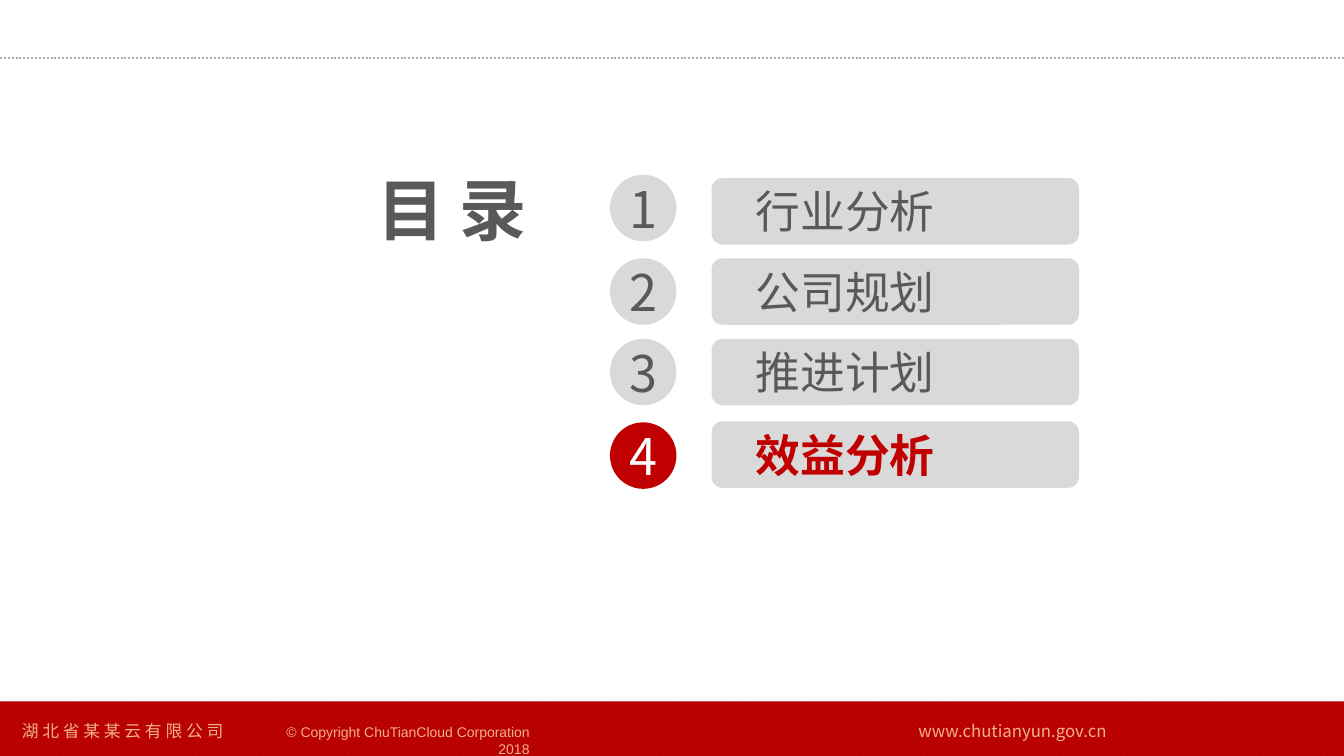
from dataclasses import dataclass

from lxml.etree import SubElement
from pptx import Presentation
from pptx.dml.color import RGBColor
from pptx.enum.dml import MSO_LINE, MSO_PATTERN
from pptx.enum.shapes import MSO_CONNECTOR, MSO_SHAPE
from pptx.enum.text import MSO_ANCHOR, PP_ALIGN
from pptx.oxml.ns import qn
from pptx.util import Pt


@dataclass(frozen=True)
class Theme:
    red: RGBColor = RGBColor.from_string("C00000")
    footer_red: RGBColor = RGBColor.from_string("B80000")
    stripe: RGBColor = RGBColor.from_string("BD1515")
    peach: RGBColor = RGBColor.from_string("F4B183")
    dark: RGBColor = RGBColor.from_string("595959")
    light: RGBColor = RGBColor.from_string("D9D9D9")
    rule: RGBColor = RGBColor.from_string("AFABAB")
    white: RGBColor = RGBColor.from_string("FFFFFF")
    cjk: str = "Noto Sans CJK SC"
    latin: str = "Arial"
    title: int = 48
    number: int = 36
    label: int = 32
    footer: int = 12
    copyright: int = 10


theme = Theme()


def write(box, text, color, size, name=theme.cjk, bold=False,
          align=PP_ALIGN.CENTER, anchor=MSO_ANCHOR.TOP, wrap=True):
    """Fill the box with one formatted run, also naming its East Asian font."""
    frame = box.text_frame
    frame_format = {
        "word_wrap": wrap, "vertical_anchor": anchor,
        "margin_left": Pt(7.2), "margin_right": Pt(7.2),
        "margin_top": Pt(3.6), "margin_bottom": Pt(3.6),
    }
    for key, value in frame_format.items():
        setattr(frame, key, value)
    para = frame.paragraphs[0]
    para.alignment = align
    span = para.add_run()
    span.text = text
    for key, value in {"name": name, "size": Pt(size), "bold": bold}.items():
        setattr(span.font, key, value)
    span.font.color.rgb = color
    SubElement(span.font._element, qn("a:ea"), typeface=name)


def add_block(kind, left, top, width, height, color):
    block = page.shapes.add_shape(kind, Pt(left), Pt(top), Pt(width), Pt(height))
    block.shadow.inherit = False
    block.line.fill.background()
    block.fill.solid()
    block.fill.fore_color.rgb = color
    return block


deck = Presentation()
deck.slide_width, deck.slide_height = Pt(960), Pt(540)
page = deck.slides.add_slide(deck.slide_layouts[5])

# Header rule
rule = page.shapes.add_connector(MSO_CONNECTOR.STRAIGHT, Pt(0), Pt(41.5), Pt(960), Pt(41.5))
rule.line.color.rgb = theme.rule
rule.line.width = Pt(1.4)
rule.line.dash_style = MSO_LINE.ROUND_DOT
SubElement(rule._element.spPr, qn("a:effectLst"))

# Footer
band = add_block(MSO_SHAPE.RECTANGLE, 0, 501, 960, 43, theme.footer_red)
band.fill.patterned()
band.fill.pattern = MSO_PATTERN.WIDE_UPWARD_DIAGONAL
band.fill.fore_color.rgb = theme.stripe
band.fill.back_color.rgb = theme.footer_red

footer_texts = [
    ("湖 北 省 某 某 云 有 限 公 司", 8.5, 511, 160, theme.footer, theme.cjk, PP_ALIGN.LEFT, False),
    ("www.chutianyun.gov.cn", 649, 511, 150, theme.footer, theme.cjk, PP_ALIGN.LEFT, False),
    ("© Copyright ChuTianCloud Corporation 2018", 176, 513.3, 209.3,
     theme.copyright, theme.latin, PP_ALIGN.RIGHT, True),
]
for text, left, top, width, size, name, align, wrap in footer_texts:
    box = page.shapes.add_textbox(Pt(left), Pt(top), Pt(width), Pt(22))
    write(box, text, theme.peach, size, name=name, align=align, wrap=wrap)

# Title
title = page.shapes.title
title_place = {"left": Pt(249), "top": Pt(116.5), "width": Pt(147.5), "height": Pt(65.5)}
for key, value in title_place.items():
    setattr(title, key, value)
write(title, "目 录", theme.dark, theme.title, bold=True)

# Agenda: label, top of the number badge, top of the label bar
agenda = [
    ("行业分析", 124.8, 127.2),
    ("公司规划", 184.5, 184.5),
    ("推进计划", 242, 242),
    ("效益分析", 301.7, 301),
]
current = 4
for number, (label, badge_top, bar_top) in enumerate(agenda, start=1):
    active = number == current
    add_block(MSO_SHAPE.ROUNDED_RECTANGLE, 508.3, bar_top, 262.5, 47.5, theme.light)
    box = page.shapes.add_textbox(Pt(522.7), Pt(bar_top + 0.8), Pt(162), Pt(46))
    write(box, label, theme.red if active else theme.dark, theme.label, bold=active)
    badge = add_block(MSO_SHAPE.OVAL, 435.7, badge_top, 47.5, 47.5,
                      theme.red if active else theme.light)
    write(badge, str(number), theme.white if active else theme.dark, theme.number,
          anchor=MSO_ANCHOR.MIDDLE)

deck.save("out.pptx")
